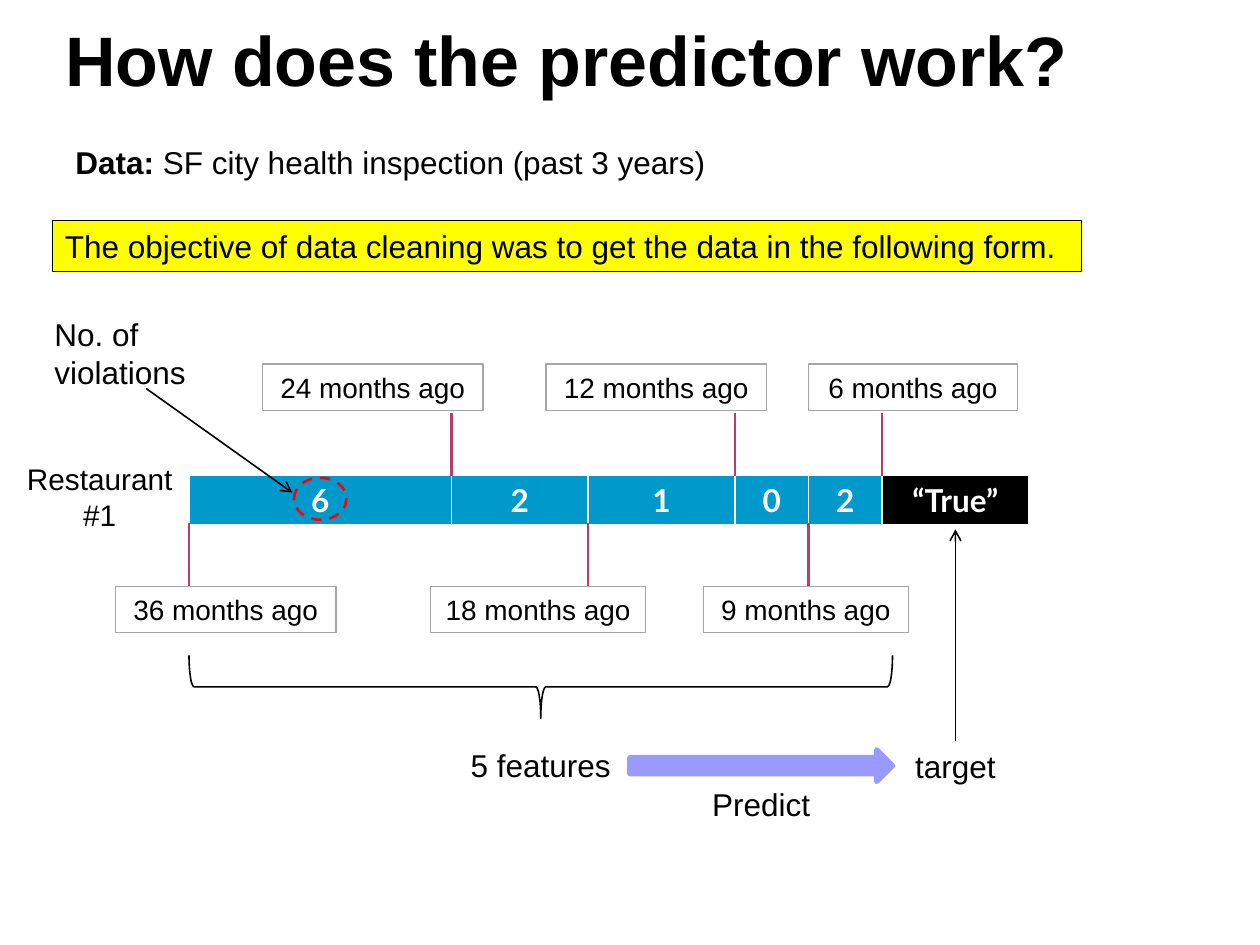
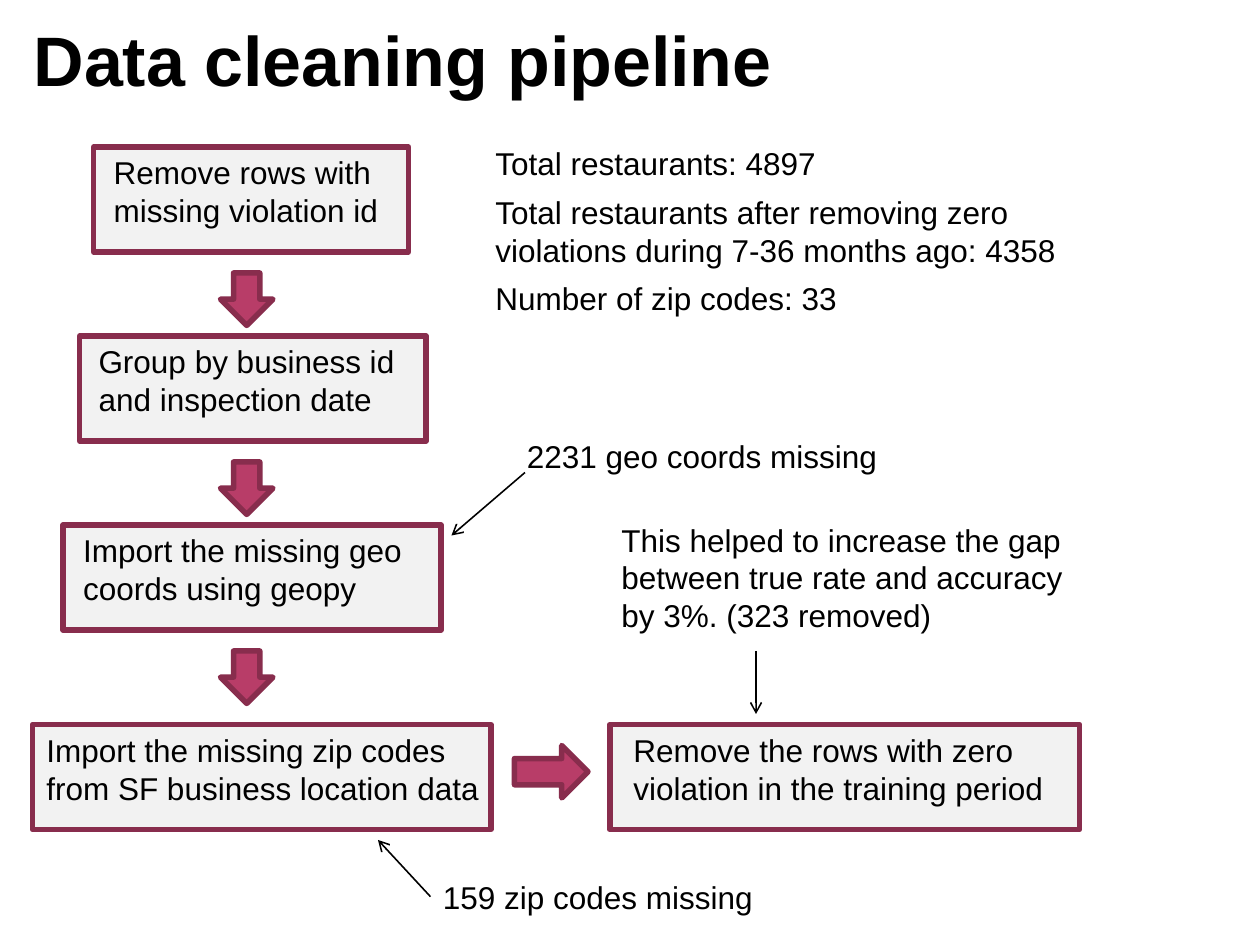
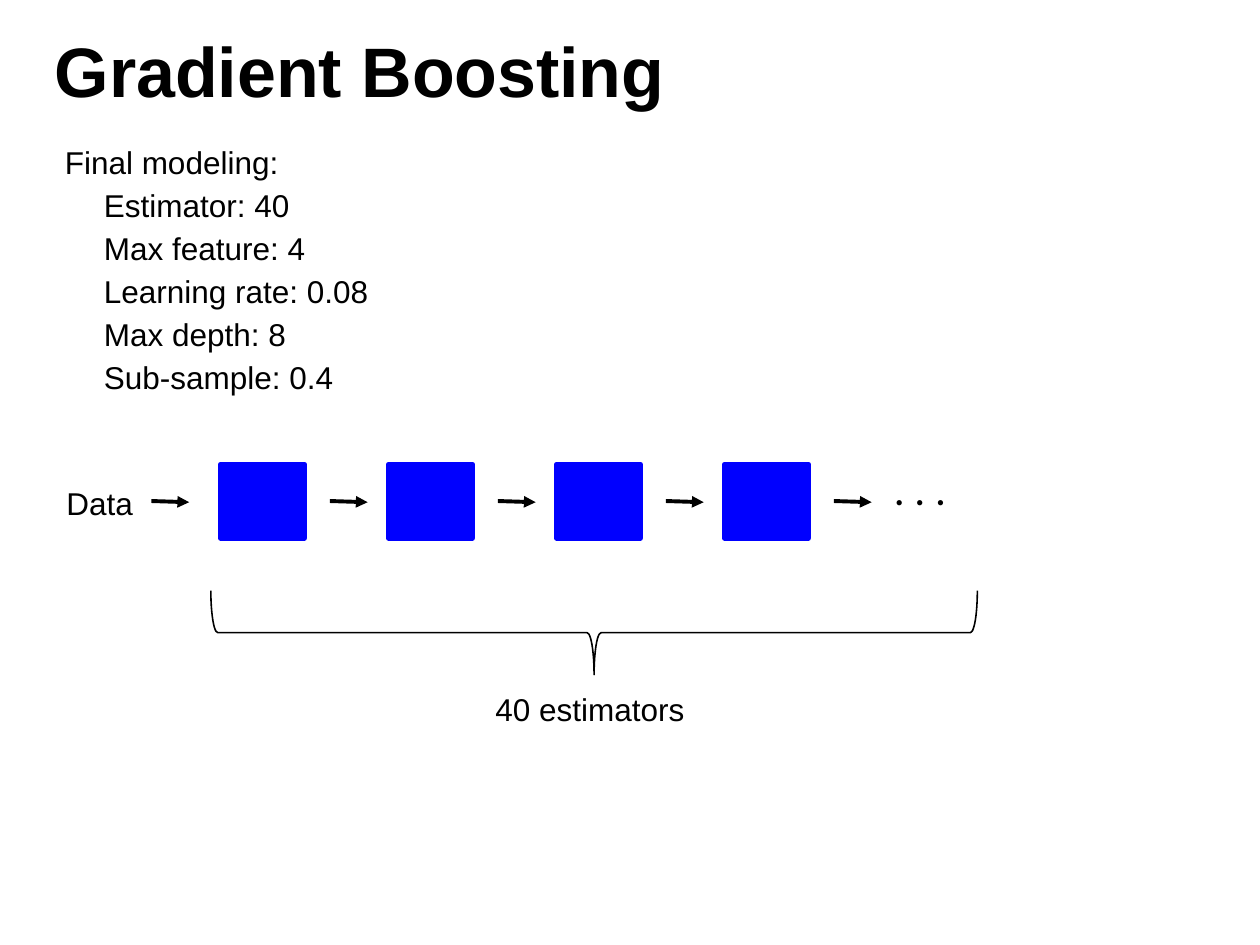
"""Build three slides on a restaurant inspection predictor."""
from dataclasses import dataclass
from itertools import accumulate

from lxml import etree
from pptx import Presentation
from pptx import util as u
from pptx.dml import color
from pptx.enum import dml, shapes, text
from pptx.oxml import ns

SHAPE = shapes.MSO_SHAPE
CENTER = text.PP_ALIGN.CENTER
LEFT = text.PP_ALIGN.LEFT
TOP_SIDE, LEFT_SIDE = 0, 1


@dataclass(frozen=True)
class Theme:
    """Colours, fonts and type sizes of the deck."""
    ink: str = "000000"
    paper: str = "FFFFFF"
    cell: str = "0099CC"
    highlight: str = "FFFF00"
    ring: str = "FF0000"
    frame: str = "A6A6A6"
    accent: str = "B83D68"
    accent_dark: str = "882D4D"
    step: str = "F2F2F2"
    predict: str = "9999FF"
    estimator: str = "0000FF"
    font: str = "Arial"
    number_font: str = "Lato"
    title: int = 40
    dots: int = 24
    body: int = 18
    row_label: int = 17
    tag: int = 16
    hairline: float = 0.9
    border: float = 0.75
    tick: float = 1.5
    flow: float = 2.25
    heavy: float = 3.15


THEME = Theme()


def rgb(code):
    """Turn a hex code into a colour."""
    return color.RGBColor.from_string(code)


def write(frame, content, size=THEME.body, font=THEME.font, ink=THEME.ink, bold=False,
          align=LEFT, after=0, lead="", indent=0):
    """Fill a text frame, one paragraph a line, indenting all lines but the first."""
    for index, line in enumerate(content.split("\n")):
        para = frame.add_paragraph() if index else frame.paragraphs[0]
        para.alignment = align
        para.space_after = u.Pt(after)
        if index and indent:
            para._p.get_or_add_pPr().set("marL", str(u.Pt(indent)))
        for words, strong in ((lead, True), (line, bold)):
            if words:
                span = para.add_run()
                span.text = words
                span.font.size = u.Pt(size)
                span.font.name = font
                span.font.bold = strong
                span.font.color.rgb = rgb(ink)


class Slides:
    """Hold the deck and draw elements on its current slide."""

    def __init__(self, theme):
        """Start an empty deck of 720 by 540 points."""
        self.theme = theme
        self.deck = Presentation()
        self.deck.slide_width, self.deck.slide_height = u.Pt(720), u.Pt(540)
        self.page = None

    def start(self, title, left, top):
        """Add a slide and place its title."""
        self.page = self.deck.slides.add_slide(self.deck.slide_layouts[5])
        box = self.page.shapes.title
        box.left, box.top, box.width, box.height = map(u.Pt, (left, top, 600, 55.5))
        self.set_frame(box.text_frame)
        write(box.text_frame, title, size=self.theme.title, bold=True)

    def set_frame(self, frame, anchor=text.MSO_ANCHOR.TOP):
        """Make a text frame wrap at a fixed size."""
        frame.word_wrap = True
        frame.auto_size = text.MSO_AUTO_SIZE.NONE
        frame.vertical_anchor = anchor

    def label(self, content, left, top, width, height=28.8, **style):
        """Add a text box."""
        box = self.page.shapes.add_textbox(*map(u.Pt, (left, top, width, height)))
        self.set_frame(box.text_frame)
        write(box.text_frame, content, **style)
        return box

    def shape(self, kind, left, top, width, height, fill=None, line=THEME.ink,
              weight=THEME.hairline, turn=0):
        """Add a preset shape."""
        box = self.page.shapes.add_shape(kind, *map(u.Pt, (left, top, width, height)))
        box.shadow.inherit = False
        box.rotation = turn
        if fill:
            box.fill.solid()
            box.fill.fore_color.rgb = rgb(fill)
        else:
            box.fill.background()
        box.line.color.rgb = rgb(line)
        box.line.width = u.Pt(weight)
        return box

    def panel(self, content, left, top, width, height, fill=None, line=THEME.ink,
              weight=THEME.border, anchor=text.MSO_ANCHOR.MIDDLE, inset=7.2, **style):
        """Add a rectangle that holds text."""
        box = self.shape(SHAPE.RECTANGLE, left, top, width, height, fill, line, weight)
        self.set_frame(box.text_frame, anchor)
        box.text_frame.margin_left = u.Pt(inset)
        box.text_frame.margin_right = u.Pt(0 if inset != 7.2 else inset)
        write(box.text_frame, content, **style)
        return box

    def line(self, start, end, ink=THEME.ink, weight=THEME.hairline, head=None,
             source=None, side=TOP_SIDE):
        """Add a straight line, with an arrowhead or a joined start if asked."""
        link = self.page.shapes.add_connector(
            shapes.MSO_CONNECTOR.STRAIGHT, *map(u.Pt, (*start, *end)))
        link.line.color.rgb = rgb(ink)
        link.line.width = u.Pt(weight)
        properties = link._element.spPr
        if head:
            outline = properties.find(ns.qn("a:ln"))
            etree.SubElement(outline, ns.qn("a:tailEnd"), type=head)
        etree.SubElement(properties, ns.qn("a:effectLst"))
        if source:
            link.begin_connect(source, side)

    def row(self, values, widths, fills, left, top, height):
        """Add a one-row table with white borders."""
        table = self.page.shapes.add_table(
            1, len(values), *map(u.Pt, (left, top, sum(widths), height))).table
        table.first_row = table.horz_banding = False
        table.rows[0].height = u.Pt(height)
        for index, (value, width, fill) in enumerate(zip(values, widths, fills)):
            table.columns[index].width = u.Pt(width)
            cell = table.cell(0, index)
            properties = cell._tc.get_or_add_tcPr()
            for side, weight in (("L", 1), ("R", 1), ("T", 1), ("B", 3)):
                edge = etree.SubElement(properties, ns.qn(f"a:ln{side}"), w=str(u.Pt(weight)))
                paint = etree.SubElement(edge, ns.qn("a:solidFill"))
                etree.SubElement(paint, ns.qn("a:srgbClr"), val=self.theme.paper)
            cell.fill.solid()
            cell.fill.fore_color.rgb = rgb(fill)
            write(cell.text_frame, value, font=self.theme.number_font,
                  ink=self.theme.paper, bold=True, align=CENTER)


def predictor(slides):
    """Draw the timeline of violations that predicts the target."""
    theme = slides.theme
    slides.start("How does the predictor work?", 30, 6)
    widths = (150, 78, 84, 42, 42, 84)
    slides.row(("6", "2", "1", "0", "2", "“True”"), widths,
               [theme.cell] * 5 + [theme.ink], 108, 271.5, 29.5)
    slides.label(" SF city health inspection (past 3 years)", 36, 78, 582, lead="Data:")

    target = slides.label("target", 504, 423.5, 84, align=CENTER)
    slides.line((546, 423.5), (546, 302.5), head="arrow", source=target)

    tags = ((36, 66, 126), (24, 150, 126), (18, 246, 123),
            (12, 312, 126), (9, 402, 117), (6, 462, 119.5))
    edges = accumulate(widths[:-1], initial=108)
    for index, ((months, left, width), edge) in enumerate(zip(tags, edges)):
        tick_top, tag_top = (236, 208) if index % 2 else (299, 335)
        slides.line((edge, tick_top), (edge, tick_top + 36), theme.accent, theme.tick)
        slides.panel(f"{months} months ago", left, tag_top, width, 26.5,
                     line=theme.frame, size=theme.tag, align=CENTER)

    brace = slides.shape(SHAPE.RIGHT_BRACE, 291, 191.5, 36, 402, turn=90)
    brace.adjustments[0], brace.adjustments[1] = 0.08, 0.5
    slides.label("5 features", 258, 422.5, 102, align=CENTER)
    slides.line((83.5, 222), (167, 281.5), head="arrow")
    slides.label("No. of violations", 24, 176.5, 90, 51)
    slides.panel("The objective of data cleaning was to get the data in the following form.",
                 30, 126, 588, 29, fill=theme.highlight)
    slides.label("Restaurant\n#1", 6, 260, 102, 48, size=theme.row_label, align=CENTER)
    slides.shape(SHAPE.RIGHT_ARROW, 360, 428.5, 150, 18, theme.predict, theme.predict,
                 theme.heavy)
    slides.label("Predict", 396, 445, 78, align=CENTER)
    ring = slides.shape(SHAPE.OVAL, 168, 273, 30, 24, line=theme.ring, weight=theme.tick)
    ring.line.dash_style = dml.MSO_LINE.DASH


def pipeline(slides):
    """Draw the cleaning steps and their notes."""
    theme = slides.theme
    slides.start("Data cleaning pipeline", 12, 6)
    slides.label("Total restaurants: 4897\n"
                 "Total restaurants after removing zero violations during 7-36 months ago: 4358\n"
                 "Number of zip codes: 33", 276, 79, 342, 106.5, after=6)
    steps = (
        ("Remove rows with missing violation id", 53.5, 84, 180, 11.5),
        ("Group by business id and inspection date", 45.5, 192, 198, 10.8),
        ("Import the missing geo coords using geopy", 36, 300, 216, 11.5),
        ("Import the missing zip codes from SF business location data", 18.5, 414, 262, 8),
        ("Remove the rows with zero violation in the training period", 348.5, 414, 268.5, 13.5),
    )
    for content, left, top, width, inset in steps:
        slides.panel(content, left, top, width, 60, theme.step, theme.accent_dark,
                     theme.heavy, text.MSO_ANCHOR.TOP, inset)
    arrows = [(SHAPE.DOWN_ARROW, 126, 156 + 108 * step, 30) for step in range(3)]
    for kind, left, top, width in arrows + [(SHAPE.RIGHT_ARROW, 294, 426, 42)]:
        slides.shape(kind, left, top, width, 30, theme.accent, theme.accent_dark, theme.heavy)

    slides.label("This helped to increase the gap between true rate and accuracy "
                 "by 3%. (323 removed)", 348, 294, 270, 72.5)
    slides.line((432, 372), (432, 408), head="arrow")
    slides.label("2231 geo coords missing", 294, 246, 252)
    slides.line((300, 270), (258, 306), head="arrow")
    zips = slides.label("159 zip codes missing", 246, 498, 210)
    slides.line((246, 512.5), (216, 480), head="arrow", source=zips, side=LEFT_SIDE)


def boosting(slides):
    """Draw the model settings and the chain of estimators."""
    theme = slides.theme
    slides.start("Gradient Boosting", 24, 12)
    slides.shape(SHAPE.LEFT_BRACE, 315.5, 142.5, 48, 438, turn=270)
    slides.label("40 estimators", 276, 391, 138)
    slides.label("Final modeling:\nEstimator: 40\nMax feature: 4\nLearning rate: 0.08\n"
                 "Max depth: 8\nSub-sample: 0.4", 30, 78, 546, 153.5, after=3, indent=22.3)
    slides.label("Data", 24, 273, 66, align=CENTER)
    pitch = 96
    for index in range(4):
        slides.shape(SHAPE.RECTANGLE, 126 + pitch * index, 265.5, 48, 42,
                     theme.estimator, theme.estimator, theme.heavy)
    for left in [86.5] + [188.5 + pitch * index for index in range(4)]:
        slides.line((left, 286.3), (left + 21.6, 287), weight=theme.flow, head="triangle")
    slides.label(". . .", 504, 261.5, 66, 36, size=theme.dots, font=theme.number_font)


def main():
    """Build the deck and save it."""
    slides = Slides(THEME)
    for draw in (predictor, pipeline, boosting):
        draw(slides)
    slides.deck.save("out.pptx")


if __name__ == "__main__":
    main()
